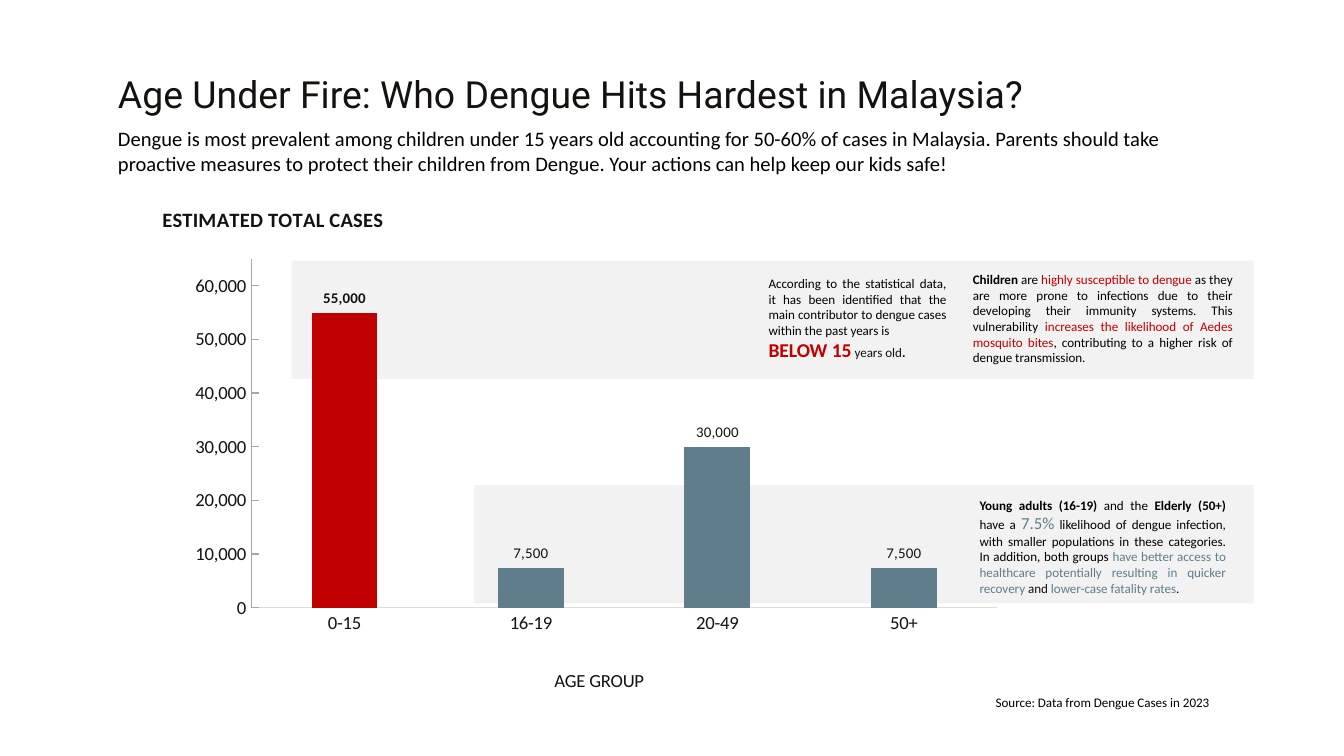
"""Build a slide on dengue cases by age group in Malaysia."""
from lxml import etree
from pptx import Presentation
from pptx import util as u
from pptx.chart import data as cd
from pptx.dml.color import RGBColor
from pptx.enum import chart as ch, shapes, text
from pptx.oxml import ns

BLACK = RGBColor(0, 0, 0)
INK = RGBColor(0x15, 0x11, 0x0E)
RED = RGBColor(0xC0, 0, 0)
SLATE = RGBColor(0x60, 0x7D, 0x8B)
GREY = RGBColor(0xA6, 0xA6, 0xA6)
SAND = RGBColor(0xE2, 0xDA, 0xD4)
PALE = RGBColor(0xE7, 0xE6, 0xE6)
WIDE, HIGH = 6.48, 3.7


def style(font, size=7, color=BLACK, bold=False, face="Calibri"):
    font.size, font.bold, font.name = u.Pt(size), bold, face
    font.color.rgb = color


def write(para, words, **form):
    run = para.add_run()
    run.text = words
    style(run.font, **form)


def place(node, index, x, y, w=None, h=None):
    for old in node.findall(ns.qn("c:layout")):
        node.remove(old)
    layout = etree.Element(ns.qn("c:layout"))
    node.insert(index, layout)
    manual = etree.SubElement(layout, ns.qn("c:manualLayout"))
    spots = {"xMode": "edge", "yMode": "edge", "x": x / WIDE, "y": y / HIGH}
    if w:
        spots = {"layoutTarget": "inner", **spots, "w": w / WIDE, "h": h / HIGH}
    for tag, value in spots.items():
        etree.SubElement(manual, ns.qn("c:" + tag)).set("val", str(value))


class Deck:
    def __init__(self, face="Calibri"):
        self.face = face
        self.show = Presentation()
        self.show.slide_width = u.Inches(10)
        self.show.slide_height = u.Inches(10 * 9 / 16)
        self.slide = self.show.slides.add_slide(self.show.slide_layouts[6])

    def band(self, *box, alpha=50):
        rect = self.slide.shapes.add_shape(shapes.MSO_SHAPE.RECTANGLE, *map(u.Inches, box))
        rect.shadow.inherit = False
        rect.line.fill.background()
        rect.fill.solid()
        rect.fill.fore_color.rgb = PALE
        color = rect._element.spPr.find(".//" + ns.qn("a:srgbClr"))
        etree.SubElement(color, ns.qn("a:alpha")).set("val", str(alpha * 1000))

    def note(self, box, *paras, align=None, pad=0.05, right=0.1):
        frame = self.slide.shapes.add_textbox(*map(u.Inches, box)).text_frame
        frame.word_wrap = True
        frame.margin_top = frame.margin_bottom = u.Inches(pad)
        frame.margin_left, frame.margin_right = u.Inches(0.1), u.Inches(right)
        for i, runs in enumerate(paras):
            para = frame.add_paragraph() if i else frame.paragraphs[0]
            para.alignment = align
            for words, form in runs:
                write(para, words, **{"face": self.face, **form})

    def head(self, title, words, x, y, **form):
        para = title.text_frame.paragraphs[0]
        write(para, words, color=INK, face=self.face, **form)
        place(title._element, 1, x, y)

    def axis(self, axis, tick, color):
        axis.has_major_gridlines = False
        axis.major_tick_mark, axis.minor_tick_mark = tick, ch.XL_TICK_MARK.NONE
        axis.format.line.color.rgb = color
        axis.format.line.width = u.Pt(0.75)
        style(axis.tick_labels.font, 10, INK, face=self.face)

    def bars(self, left, top, cats, values, colors):
        data = cd.CategoryChartData(number_format="#,##0")
        data.categories = cats
        data.add_series("Series 1", values)
        chart = self.slide.shapes.add_chart(
            ch.XL_CHART_TYPE.COLUMN_CLUSTERED,
            *map(u.Inches, (left, top, WIDE, HIGH)), data).chart
        style(chart.font, 10, INK, face="Arial")
        chart.has_legend = False
        chart.has_title = True
        self.head(chart.chart_title, "ESTIMATED TOTAL CASES", 0.08, 0.01, size=11, bold=True)
        ages, cases = chart.category_axis, chart.value_axis
        self.axis(ages, ch.XL_TICK_MARK.NONE, SAND)
        self.axis(cases, ch.XL_TICK_MARK.INSIDE, GREY)
        self.head(ages.axis_title, "AGE GROUP", 3, 3.48, size=10)
        cases.minimum_scale, cases.maximum_scale, cases.major_unit = 0, 65000, 10000
        cases.tick_labels.number_format = "#,##0"
        cases.tick_labels.number_format_is_linked = False
        plot = chart.plots[0]
        plot.gap_width, plot.overlap, plot.vary_by_categories = 183, -75, False
        series = plot.series[0]
        series.format.fill.solid()
        series.format.fill.fore_color.rgb = GREY
        for i, color in enumerate(colors):
            fill = series.points[i].format.fill
            fill.solid()
            fill.fore_color.rgb = color
        labels = series.data_labels
        labels.show_value = True
        labels.number_format, labels.number_format_is_linked = "#,##0", False
        labels.position = ch.XL_LABEL_POSITION.OUTSIDE_END
        style(labels.font, 8, INK, face=self.face)
        first = series.points[0].data_label
        style(first.font, 8, INK, True, self.face)
        first.position = ch.XL_LABEL_POSITION.OUTSIDE_END
        place(chart._chartSpace.chart.plotArea, 0, 0.77, 0.44, 5.55, 2.61)


def main():
    deck = Deck()
    plain, bold = {}, {"bold": True}
    red, slate = {"color": RED}, {"color": SLATE}
    just = text.PP_ALIGN.JUSTIFY
    deck.band(3.53, 3.61, 5.8, 0.88)
    deck.band(2.17, 1.94, 7.16, 0.88)
    deck.note((0.78, 0.43, 8.44, 0.54), [
        ("Age Under Fire: Who Dengue Hits Hardest in Malaysia?",
         {"size": 20, "color": INK, "face": "Roboto"})], pad=0.1)
    deck.note((0.78, 0.84, 8.44, 0.6), [
        ("Dengue is most prevalent among children under 15 years old accounting for "
         "50-60% of cases in Malaysia. Parents should take proactive measures to protect "
         "their children from Dengue. Your actions can help keep our kids safe!",
         {"size": 11})], pad=0.1, right=0)
    deck.bars(1.1, 1.49, ["0-15", "16-19", "20-49", "50+"],
              [55000, 7500, 30000, 7500], [RED] + [SLATE] * 3)
    deck.note((7.14, 1.97, 2.13, 0.81), [
        ("Children ", bold), ("are ", plain), ("highly susceptible to dengue ", red),
        ("as they are more prone to infections due to their developing their immunity "
         "systems. This vulnerability ", plain),
        ("increases the likelihood of Aedes mosquito bites", red),
        (", contributing to a higher risk of dengue transmission.", plain)], align=just)
    deck.note((7.19, 3.65, 2.03, 0.84), [
        ("Young adults (16-19)", bold), (" and the ", plain), ("Elderly (50+) ", bold),
        ("have a ", plain), ("7.5%", {"size": 9, "color": SLATE}),
        (" likelihood of dengue infection, with smaller populations in these categories. "
         "In addition, both groups ", plain),
        ("have better access to healthcare potentially resulting in quicker recovery ", slate),
        ("and", {"color": INK}), (" lower-case fatality rates", slate), (".", plain)],
        align=just)
    deck.note((5.62, 2, 1.52, 0.75), [
        ("According to the statistical data, it has been identified that the main "
         "contributor to dengue cases within the past years is ", plain)], [
        ("BELOW 15", {"size": 10.5, "color": RED, "bold": True}),
        (" ", {"color": INK, "bold": True}), ("years old", {"color": INK}),
        (".", bold)], align=just)
    deck.note((7.31, 5.12, 2.46, 0.22), [("Source: Data from Dengue Cases in 2023", plain)])
    deck.show.save("out.pptx")


if __name__ == "__main__":
    main()
